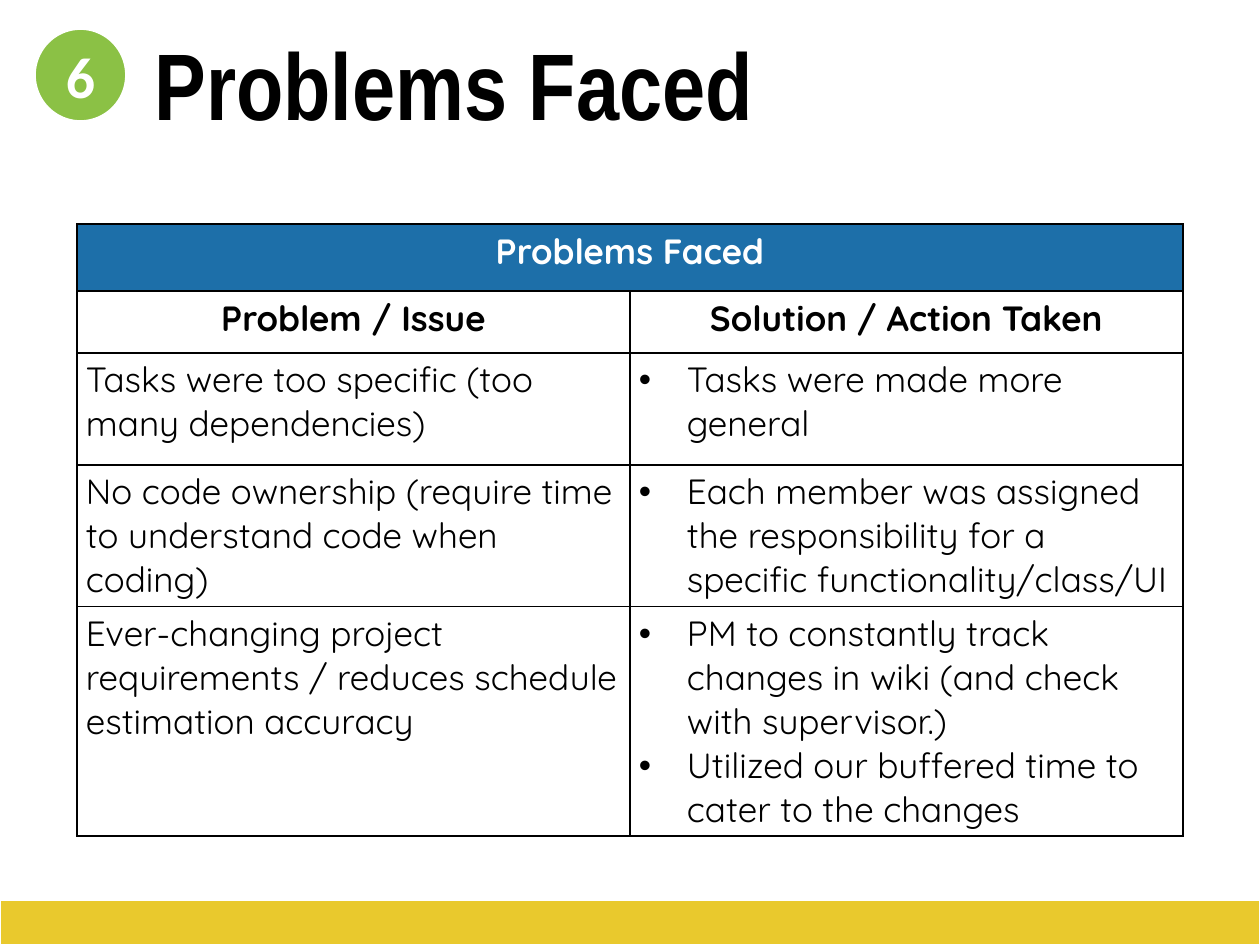
from lxml import etree
from pptx import Presentation
from pptx.dml.color import RGBColor
from pptx.enum.shapes import MSO_SHAPE
from pptx.enum.text import MSO_ANCHOR, MSO_AUTO_SIZE, PP_ALIGN
from pptx.oxml.ns import qn
from pptx.util import Emu, Pt

LEFT, CENTER = PP_ALIGN.LEFT, PP_ALIGN.CENTER
MIDDLE, TOP = MSO_ANCHOR.MIDDLE, MSO_ANCHOR.TOP
OVAL, RECTANGLE = MSO_SHAPE.OVAL, MSO_SHAPE.RECTANGLE

WHITE = RGBColor(0xFF, 0xFF, 0xFF)
BLACK = RGBColor(0x00, 0x00, 0x00)
GREEN = RGBColor(0x8B, 0xC1, 0x45)
BLUE = RGBColor(0x1D, 0x6F, 0xA9)
YELLOW = RGBColor(0xE9, 0xC9, 0x2D)

PX_PER_INCH = 126
TITLE = "Problems Faced"
ROWS = [
    ([TITLE], []),
    (["Problem / Issue"], ["Solution / Action Taken"]),
    (["Tasks were too specific (too many dependencies)"],
     ["Tasks were made more general"]),
    (["No code ownership (require time to understand code when coding)"],
     ["Each member was assigned the responsibility for a specific functionality/class/UI"]),
    (["Ever-changing project requirements / reduces schedule estimation accuracy"],
     ["PM to constantly track changes in wiki (and check with supervisor.)",
      "Utilized our buffered time to cater to the changes"]),
]
ROW_HEIGHTS = [67, 62, 112, 112, 163]
COLUMN_WIDTH = 553
BULLET_INDENT = 48


def px(*lengths):
    return [Emu(round(length * 914400 / PX_PER_INCH)) for length in lengths]


def style_text(para, font_name, size, color, bold, align):
    para.alignment = align
    for span in para.runs:
        font = span.font
        font.name, font.size, font.bold = font_name, Pt(size), bold
        font.color.rgb = color


deck = Presentation()
deck.slide_width, deck.slide_height = px(1260, 945)
page = deck.slides.add_slide(deck.slide_layouts[5])

# Title
title = page.shapes.title
title.left, title.top, title.width, title.height = px(142, 20, 713, 127)
frame = title.text_frame
frame.text = TITLE
frame.word_wrap = True
frame.auto_size = MSO_AUTO_SIZE.NONE
frame.vertical_anchor = TOP
style_text(frame.paragraphs[0], "Arial Narrow", 54, BLACK, True, LEFT)

# Number badge and footer band
for kind, bounds, color, label in [
    (OVAL, (35, 29, 91, 92), GREEN, "6"),
    (RECTANGLE, (0, 900, 1260, 45), YELLOW, ""),
]:
    shape = page.shapes.add_shape(kind, *px(*bounds))
    shape.shadow.inherit = False
    shape.fill.solid()
    shape.fill.fore_color.rgb = color
    shape.line.color.rgb = WHITE
    shape.line.width = Pt(1)
    if label:
        shape.text_frame.text = label
        shape.text_frame.vertical_anchor = MIDDLE
        style_text(shape.text_frame.paragraphs[0], "Calibri", 33, WHITE, True, CENTER)

# Table of problems and solutions
table = page.shapes.add_table(
    len(ROWS), 2, *px(77, 224, 2 * COLUMN_WIDTH, sum(ROW_HEIGHTS))
).table
table.first_row = table.horz_banding = False
for column in table.columns:
    column.width = px(COLUMN_WIDTH)[0]
for row, height in zip(table.rows, ROW_HEIGHTS):
    row.height = px(height)[0]
table.cell(0, 0).merge(table.cell(0, 1))

for row_index, contents in enumerate(ROWS):
    for column_index, lines in enumerate(contents):
        cell = table.cell(row_index, column_index)
        cell.margin_left, cell.margin_right = px(9, 9)
        cell.margin_top, cell.margin_bottom = px(5, 5)

        properties = cell._tc.get_or_add_tcPr()
        for side in ("lnL", "lnR", "lnT", "lnB"):
            border = etree.SubElement(properties, qn(f"a:{side}"), w=str(Pt(1)))
            fill = etree.SubElement(border, qn("a:solidFill"))
            etree.SubElement(fill, qn("a:srgbClr"), val=str(BLACK))
        cell.fill.solid()
        cell.fill.fore_color.rgb = BLUE if row_index == 0 else WHITE

        if not lines:
            continue
        is_heading = row_index < 2
        cell.text_frame.text = "\n".join(lines)
        for para in cell.text_frame.paragraphs:
            style_text(para, "Quicksand", 20, WHITE if row_index == 0 else BLACK,
                       is_heading, CENTER if is_heading else LEFT)
            if column_index == 1 and not is_heading:
                indent = px(BULLET_INDENT)[0]
                bullet = para._p.get_or_add_pPr()
                bullet.set("marL", str(indent))
                bullet.set("indent", str(-indent))
                etree.SubElement(bullet, qn("a:buFont"), typeface="Arial")
                etree.SubElement(bullet, qn("a:buChar"), char="•")

deck.save("out.pptx")
